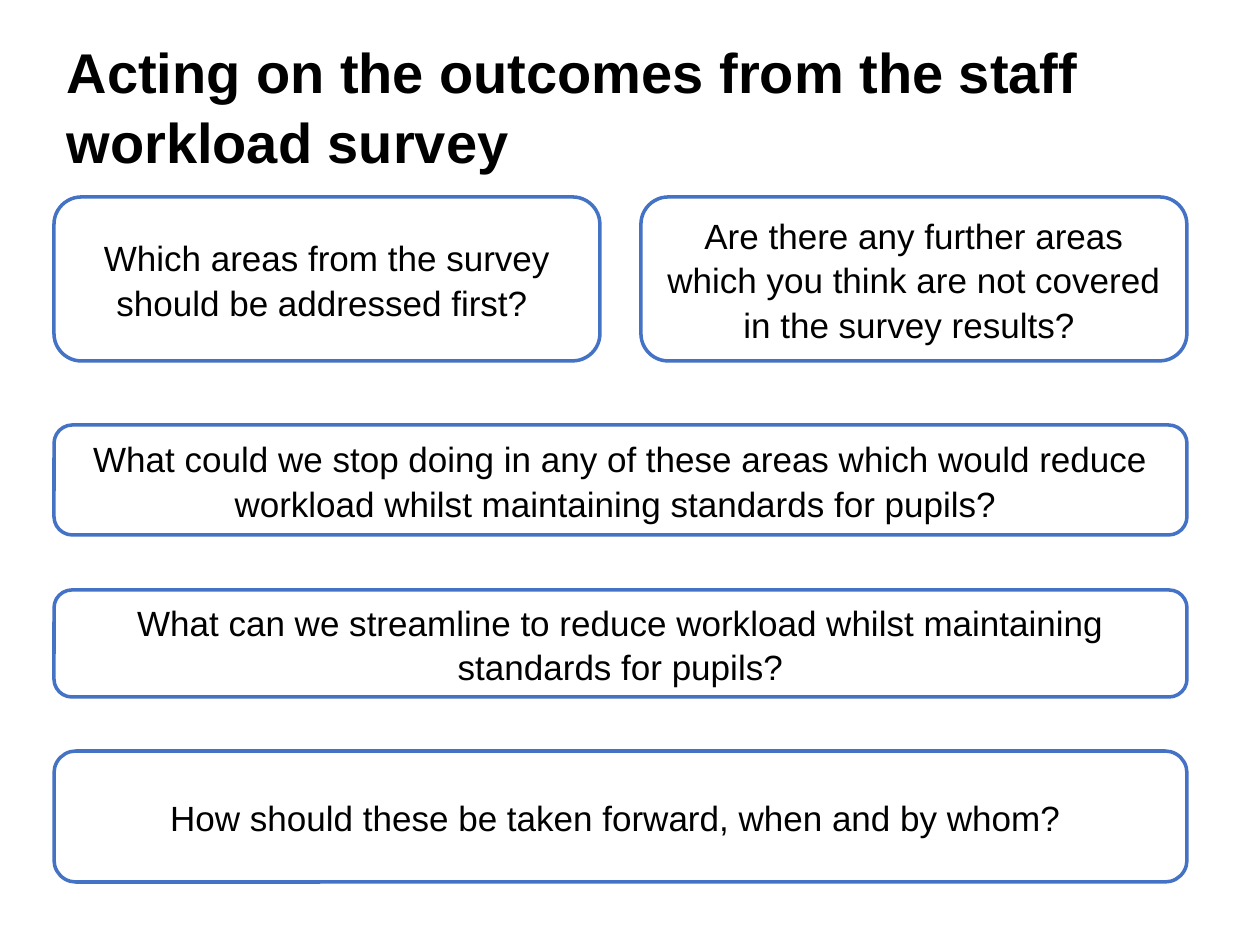
from dataclasses import dataclass

from pptx import Presentation
from pptx import util as u
from pptx.dml.color import RGBColor
from pptx.enum import shapes, text

PX = u.Inches(1) // 126
LEFT, FULL_W, HALF_W = 54, 1133, 546
RIGHT = LEFT + FULL_W - HALF_W
BLACK, BLUE = "000000", "4472C4"


@dataclass
class Question:
    left: int
    top: int
    width: int
    height: int
    words: str


QUESTIONS = [
    Question(LEFT, 197, HALF_W, 164, "Which areas from the survey should be addressed first? "),
    Question(RIGHT, 197, HALF_W, 164,
             "Are there any further areas which you think are not covered in the survey results? "),
    Question(LEFT, 425, FULL_W, 110,
             "What could we stop doing in any of these areas which would reduce workload "
             "whilst maintaining standards for pupils? "),
    Question(LEFT, 590, FULL_W, 107,
             "What can we streamline to reduce workload whilst maintaining standards for pupils?"),
    Question(LEFT, 751, FULL_W, 131, "How should these be taken forward, when and by whom? "),
]


def px(n: int) -> u.Emu:
    return u.Emu(n * PX)


def rgb(code: str) -> RGBColor:
    return RGBColor.from_string(code)


def write(sp, words: str, size: int, bold: bool, align) -> None:
    tf = sp.text_frame
    tf.word_wrap = True
    tf.auto_size = text.MSO_AUTO_SIZE.NONE
    tf.vertical_anchor = text.MSO_ANCHOR.MIDDLE
    p = tf.paragraphs[0]
    p.alignment = align
    p.line_spacing = 1.05
    r = p.add_run()
    r.text = words
    r.font.name = "Arial"
    r.font.size = u.Pt(size)
    r.font.bold = bold
    r.font.color.rgb = rgb(BLACK)


def draw_question(s, q: Question) -> None:
    sp = s.shapes.add_shape(shapes.MSO_SHAPE.ROUNDED_RECTANGLE,
                            px(q.left), px(q.top), px(q.width), px(q.height))
    sp.shadow.inherit = False
    sp.fill.background()
    sp.line.color.rgb = rgb(BLUE)
    sp.line.width = u.Pt(2)
    write(sp, q.words, 20, False, text.PP_ALIGN.CENTER)


def main() -> None:
    prs = Presentation()
    prs.slide_width, prs.slide_height = px(1260), px(945)
    s = prs.slides.add_slide(prs.slide_layouts[5])
    title = s.shapes.title
    title.left, title.top, title.width, title.height = px(LEFT), px(45), px(1121), px(119)
    write(title, "Acting on the outcomes from the staff workload survey", 32, True,
          text.PP_ALIGN.LEFT)
    for q in QUESTIONS:
        draw_question(s, q)
    prs.save("out.pptx")


if __name__ == "__main__":
    main()
